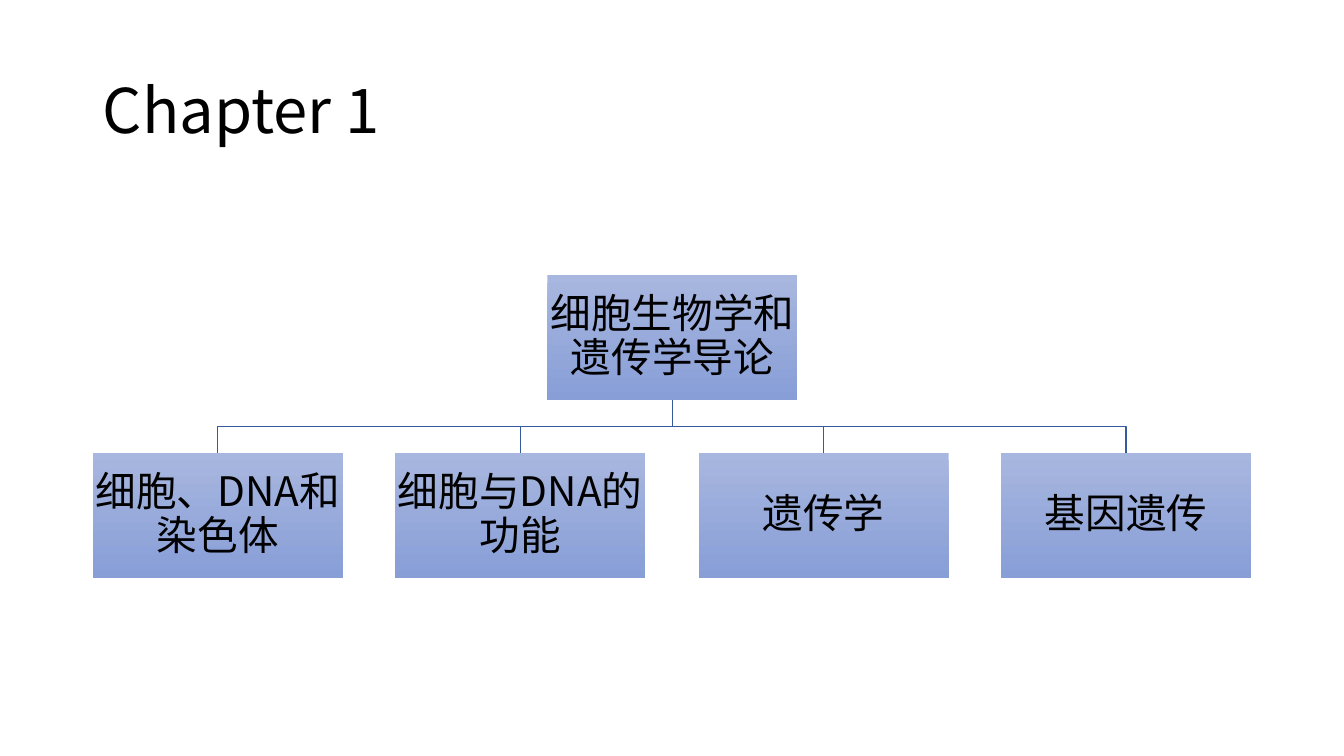
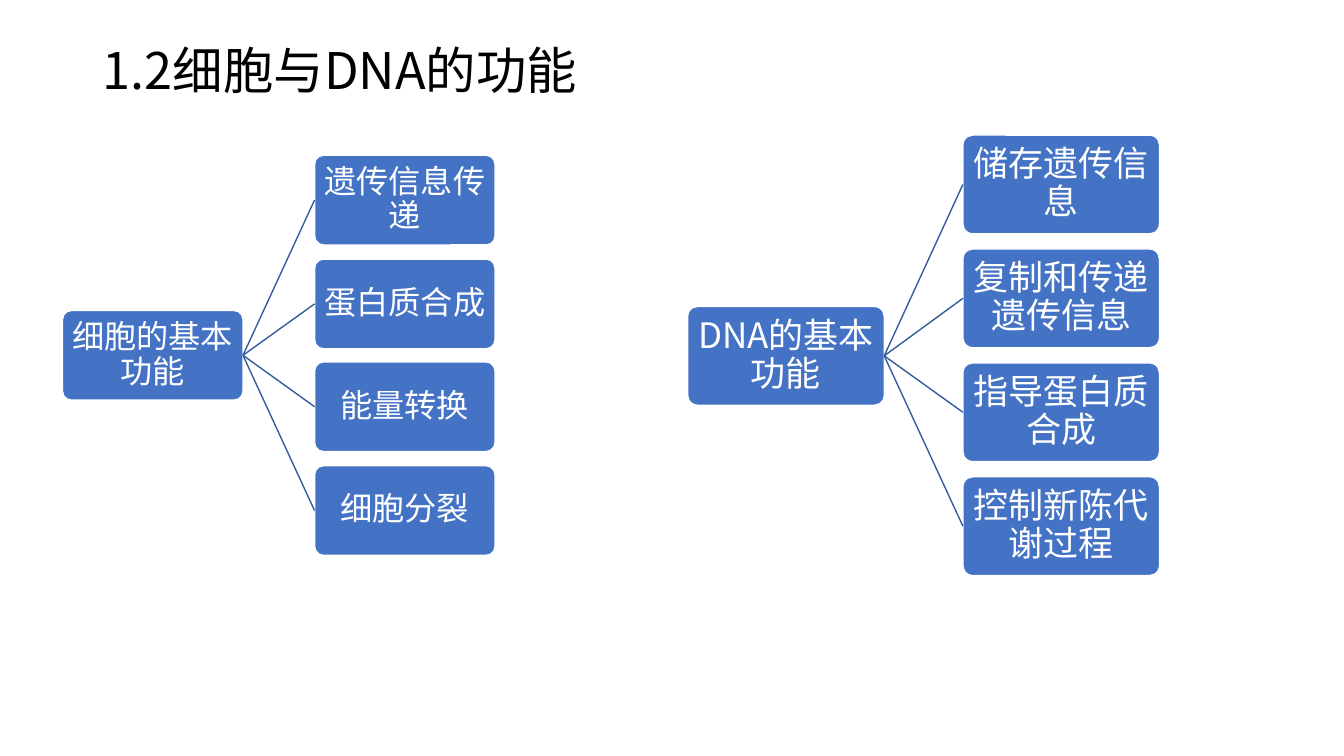
from dataclasses import dataclass

from pptx import Presentation
from pptx.dml.color import RGBColor
from pptx.enum.shapes import MSO_CONNECTOR, MSO_SHAPE
from pptx.enum.text import MSO_ANCHOR, MSO_AUTO_SIZE, PP_ALIGN
from pptx.oxml.ns import qn
from pptx.util import Pt
from lxml import etree

PX = 9144  # EMU per px, 100 px to the inch
TITLE_ONLY = 5


@dataclass(frozen=True)
class Theme:
    font: str = "Noto Sans CJK SC"
    ink: str = "000000"
    paper: str = "FFFFFF"
    accent: str = "4472C4"
    link: str = "365B9D"
    gradient: tuple = ("A8B7DF", "889ED7")
    chapter_size: int = 44
    section_size: int = 36
    chart_size: int = 29
    line_width: int = 1
    line_spacing: float = 0.9


THEME = Theme()


def px(length):
    return round(length) * PX


def rgb(value):
    return RGBColor.from_string(value)


def style_line(line, color):
    line.color.rgb = rgb(color)
    line.width = Pt(THEME.line_width)


def write(shape, words, size, color, align):
    """Put one styled run into a shape or placeholder."""
    frame = shape.text_frame
    frame.word_wrap = True
    frame.auto_size = MSO_AUTO_SIZE.NONE
    frame.vertical_anchor = MSO_ANCHOR.MIDDLE
    paragraph = frame.paragraphs[0]
    paragraph.alignment = align
    paragraph.line_spacing = THEME.line_spacing
    run = paragraph.add_run()
    run.text = words
    run.font.size = Pt(size)
    run.font.name = THEME.font
    run.font.color.rgb = rgb(color)
    east_asian = etree.SubElement(run.font._element, qn("a:ea"))
    east_asian.set("typeface", THEME.font)


def add_titled_slide(deck, words, top, size):
    slide = deck.slides.add_slide(deck.slide_layouts[TITLE_ONLY])
    title = slide.shapes.title
    title.left, title.top, title.width, title.height = map(px, (92, top, 1150, 145))
    write(title, words, size, THEME.ink, PP_ALIGN.LEFT)
    return slide


def add_node(slide, kind, bounds, words, size, color):
    node = slide.shapes.add_shape(kind, *map(px, bounds))
    node.shadow.inherit = False
    frame = node.text_frame
    frame.margin_left = frame.margin_right = px(2)
    frame.margin_top = frame.margin_bottom = px(2)
    write(node, words, size, color, PP_ALIGN.CENTER)
    return node


def add_gradient_node(slide, bounds, words):
    node = add_node(slide, MSO_SHAPE.RECTANGLE, bounds, words,
                    THEME.chart_size, THEME.ink)
    node.fill.gradient()
    node.fill.gradient_angle = 270
    for stop, color in zip(node.fill.gradient_stops, THEME.gradient):
        stop.color.rgb = rgb(color)
    node.line.fill.background()


def add_rounded_node(slide, bounds, words, size):
    node = add_node(slide, MSO_SHAPE.ROUNDED_RECTANGLE, bounds, words,
                    size, THEME.paper)
    node.adjustments[0] = 0.1
    node.fill.solid()
    node.fill.fore_color.rgb = rgb(THEME.accent)
    style_line(node.line, THEME.paper)
    return node


def add_elbow(slide, start, end):
    """Draw an open path down, across and down again, between px points."""
    (x1, y1), (x2, y2) = start, end
    bar_y = (y1 + y2) / 2
    corners = [(x1, bar_y), (x2, bar_y), (x2, y2)]
    builder = slide.shapes.build_freeform(px(x1), px(y1))
    builder.add_line_segments([(px(x), px(y)) for x, y in corners], close=False)
    elbow = builder.convert_to_shape()
    elbow.shadow.inherit = False
    elbow.fill.background()
    style_line(elbow.line, THEME.link)


def add_link(slide, parent, child):
    """Join the right side of parent to the left side of child."""
    link = slide.shapes.add_connector(
        MSO_CONNECTOR.STRAIGHT,
        parent.left + parent.width, parent.top + parent.height // 2,
        child.left, child.top + child.height // 2)
    link.begin_connect(parent, 3)
    link.end_connect(child, 1)
    style_line(link.line, THEME.link)
    etree.SubElement(link._element.spPr, qn("a:effectLst"))


def add_org_chart(slide, topic, chapters):
    """One topic above an evenly spread row of chapters."""
    width, height = 248, 124
    row_left, row_right, row_top = 92, 1241, 449
    root_left, root_top = 543, 273
    step = (row_right - row_left - width) / (len(chapters) - 1)
    lefts = [row_left + i * step for i in range(len(chapters))]

    # Branches lie behind the boxes
    for left in reversed(lefts):
        add_elbow(slide, (root_left + width / 2, root_top + height),
                  (left + width / 2, row_top))

    add_gradient_node(slide, (root_left, root_top, width, height), topic)
    for left, words in zip(lefts, chapters):
        add_gradient_node(slide, (left, row_top, width, height), words)


def add_fan(slide, left, width, height, size, topic, functions):
    """One topic on the left, its functions stacked on the right."""
    center_y = 353
    step = height * 1.15
    child_left = left + width + width * 2 // 5
    middle = (len(functions) - 1) / 2

    root = add_rounded_node(slide, (left, center_y - height / 2, width, height),
                            topic, size)
    for i, words in enumerate(functions):
        top = (center_y + (i - middle) * step - height / 2) // 1
        child = add_rounded_node(slide, (child_left, top, width, height), words, size)
        add_link(slide, root, child)


def main():
    deck = Presentation()
    deck.slide_width, deck.slide_height = px(1333), px(750)

    # Chapter overview
    overview = add_titled_slide(deck, "Chapter 1", 40, THEME.chapter_size)
    add_org_chart(overview, "细胞生物学和遗传学导论",
                  ["细胞、DNA和染色体", "细胞与DNA的功能", "遗传学", "基因遗传"])

    # Functions of the cell and of DNA
    section = add_titled_slide(deck, "1.2细胞与DNA的功能", 0, THEME.section_size)
    add_fan(section, 62, 179, 89, 23, "细胞的基本功能",
            ["遗传信息传递", "蛋白质合成", "能量转换", "细胞分裂"])
    add_fan(section, 682, 195, 98, 25, "DNA的基本功能",
            ["储存遗传信息", "复制和传递遗传信息", "指导蛋白质合成", "控制新陈代谢过程"])

    deck.save("out.pptx")


if __name__ == "__main__":
    main()
